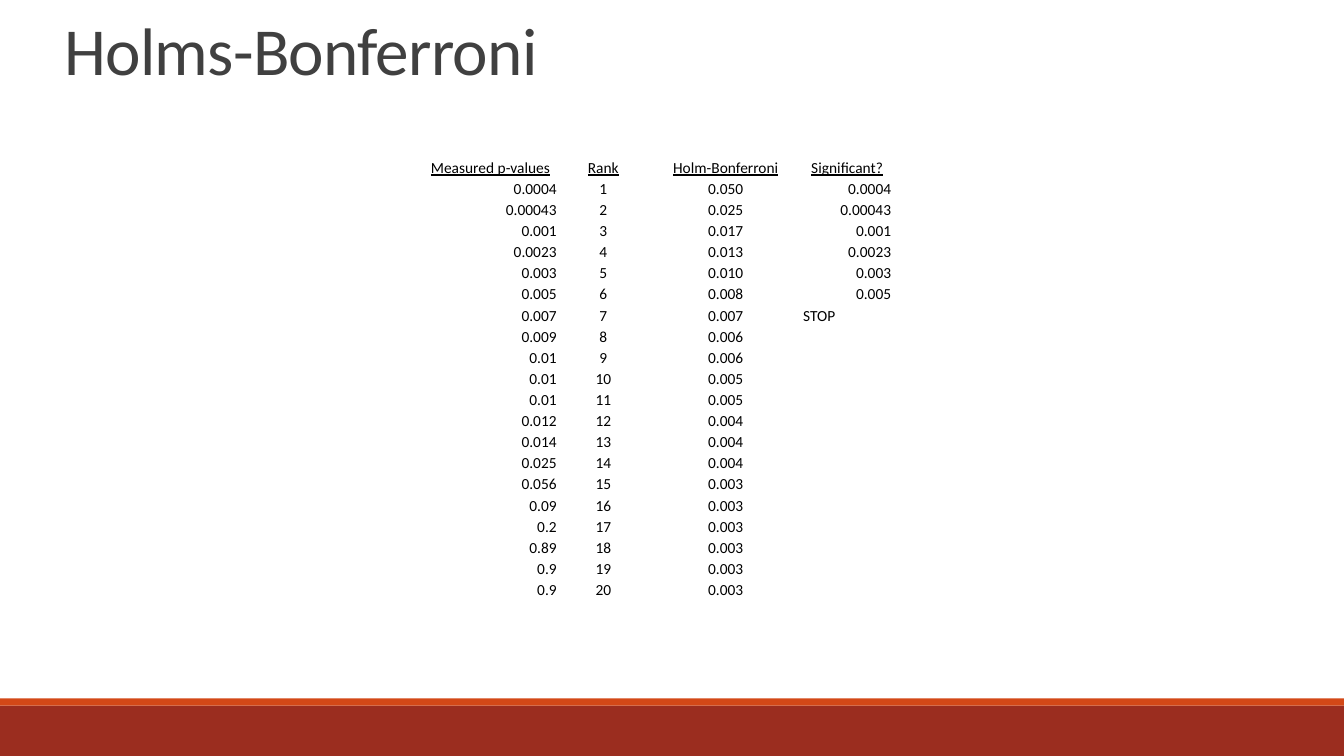
from dataclasses import dataclass

from lxml.etree import SubElement
from pptx import Presentation
from pptx.dml.color import RGBColor
from pptx.enum.shapes import MSO_SHAPE
from pptx.enum.text import MSO_ANCHOR, PP_ALIGN
from pptx.oxml.ns import qn
from pptx.util import Cm, Pt

TITLE = "Holms-Bonferroni"
HEADERS = ["Measured p-values", "Rank", "Holm-Bonferroni", "Significant?"]
P_VALUES = [
    "0.0004", "0.00043", "0.001", "0.0023", "0.003", "0.005", "0.007",
    "0.009", "0.01", "0.01", "0.01", "0.012", "0.014", "0.025", "0.056",
    "0.09", "0.2", "0.89", "0.9", "0.9",
]
ALPHA = 0.05
SIGNIFICANT_COUNT = 6
STOP = "STOP"


@dataclass(frozen=True)
class Theme:
    font: str = "Calibri"
    title_size: int = 48
    table_size: int = 11
    title_color: str = "404040"
    text_color: str = "000000"
    border_color: str = "FFFFFF"
    band_color: str = "9B2D1F"
    stripe_color: str = "D34817"


THEME = Theme()
SLIDE_WIDTH, SLIDE_HEIGHT = 33.87, 19.05
BARS = [(17.78, 1.27, THEME.band_color), (17.6, 0.18, THEME.stripe_color)]
TABLE_LEFT, TABLE_TOP, TABLE_HEIGHT = 10.67, 3.94, 11.18
COLUMN_WIDTHS = [3.38, 2.31, 3.86, 2.26]
BODY_ALIGN = [PP_ALIGN.RIGHT, PP_ALIGN.CENTER, PP_ALIGN.CENTER, PP_ALIGN.RIGHT]


def add_span(para, text, size, color):
    span = para.add_run()
    span.text = text
    span.font.name = THEME.font
    span.font.size = Pt(size)
    span.font.color.rgb = RGBColor.from_string(color)
    return span


def add_bar(page, top, height, color):
    bar = page.shapes.add_shape(
        MSO_SHAPE.RECTANGLE, 0, Cm(top), Cm(SLIDE_WIDTH), Cm(height))
    bar.shadow.inherit = False
    bar.fill.solid()
    bar.fill.fore_color.rgb = RGBColor.from_string(color)
    bar.line.fill.background()


def add_title(page):
    box = page.shapes.add_textbox(Cm(1.37), Cm(0.2), Cm(27.94), Cm(2.18))
    frame = box.text_frame
    frame.word_wrap = True
    frame.vertical_anchor = MSO_ANCHOR.BOTTOM
    para = frame.paragraphs[0]
    para.line_spacing = 0.85
    span = add_span(para, TITLE, THEME.title_size, THEME.title_color)
    span.font._element.set("spc", "-50")


def add_borders(cell):
    properties = cell._tc.get_or_add_tcPr()
    for position, side in enumerate(("lnL", "lnR", "lnT", "lnB")):
        line = properties.makeelement(qn(f"a:{side}"), {"w": str(Pt(1))})
        properties.insert(position, line)
        fill = SubElement(line, qn("a:solidFill"))
        SubElement(fill, qn("a:srgbClr"), val=THEME.border_color)


def fill_cell(cell, text, align, underline):
    cell.fill.background()
    add_borders(cell)
    cell.vertical_anchor = MSO_ANCHOR.BOTTOM
    cell.margin_left = cell.margin_right = cell.margin_top = Cm(0.02)
    cell.margin_bottom = 0
    para = cell.text_frame.paragraphs[0]
    para.alignment = align
    if text:
        span = add_span(para, text, THEME.table_size, THEME.text_color)
        span.font.underline = underline
    else:
        # Keeps an empty cell from stretching its row
        SubElement(para._p, qn("a:endParaRPr"), sz=str(THEME.table_size * 100))


def test_rows():
    """Rank each p-value, divide alpha by the rank, and mark where to stop."""
    for rank, value in enumerate(P_VALUES, start=1):
        if rank <= SIGNIFICANT_COUNT:
            verdict = value
        else:
            verdict = STOP if rank == SIGNIFICANT_COUNT + 1 else ""
        yield [value, str(rank), f"{ALPHA / rank:.3f}", verdict]


def add_test_table(page):
    rows = [HEADERS, *test_rows()]
    table = page.shapes.add_table(
        len(rows), len(HEADERS), Cm(TABLE_LEFT), Cm(TABLE_TOP),
        Cm(sum(COLUMN_WIDTHS)), Cm(TABLE_HEIGHT)).table
    table.first_row = table.horz_banding = False
    for column, width in zip(table.columns, COLUMN_WIDTHS):
        column.width = Cm(width)
    for row_index, texts in enumerate(rows):
        table.rows[row_index].height = Cm(TABLE_HEIGHT / len(rows))
        is_header = row_index == 0
        for column_index, text in enumerate(texts):
            align = PP_ALIGN.CENTER if is_header else BODY_ALIGN[column_index]
            if text == STOP:
                align = PP_ALIGN.LEFT
            fill_cell(table.cell(row_index, column_index), text, align, is_header)


def main():
    deck = Presentation()
    deck.slide_width, deck.slide_height = Cm(SLIDE_WIDTH), Cm(SLIDE_HEIGHT)
    page = deck.slides.add_slide(deck.slide_layouts[6])
    for top, height, color in BARS:
        add_bar(page, top, height, color)
    add_title(page)
    add_test_table(page)
    deck.save("out.pptx")


if __name__ == "__main__":
    main()
